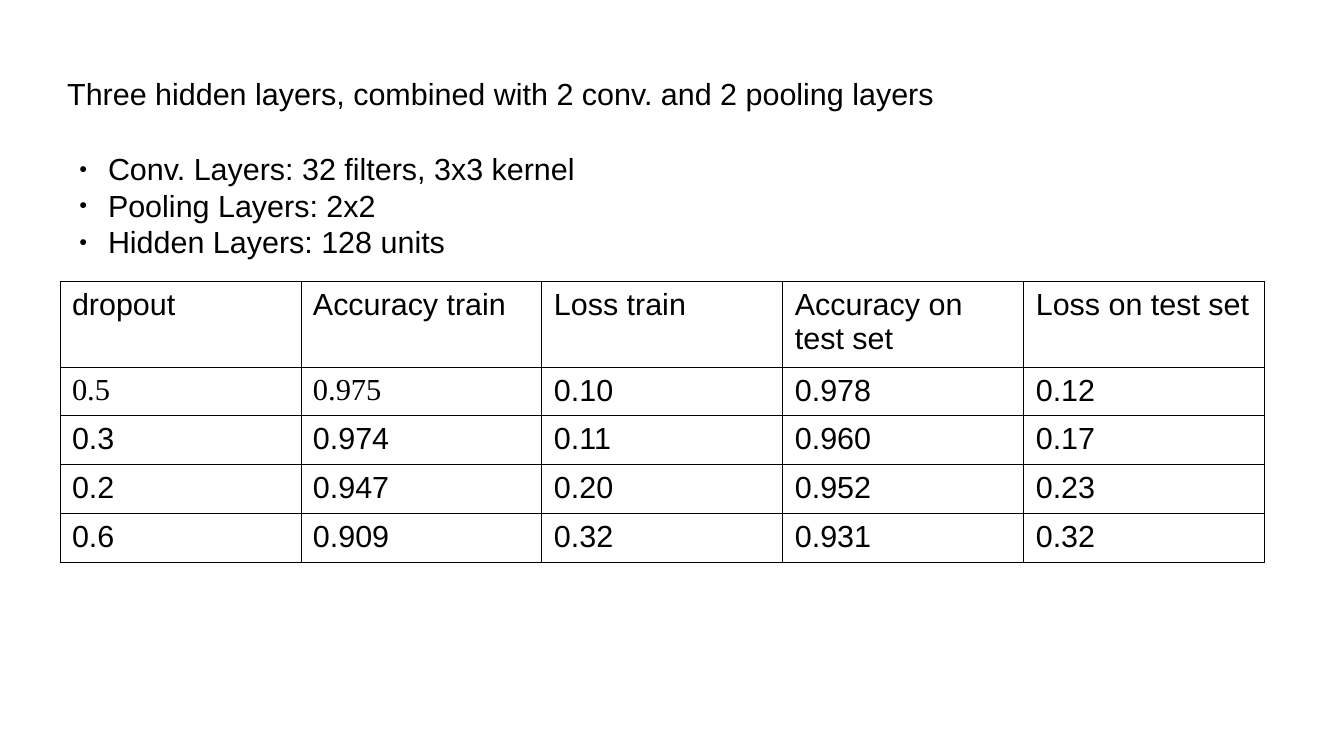
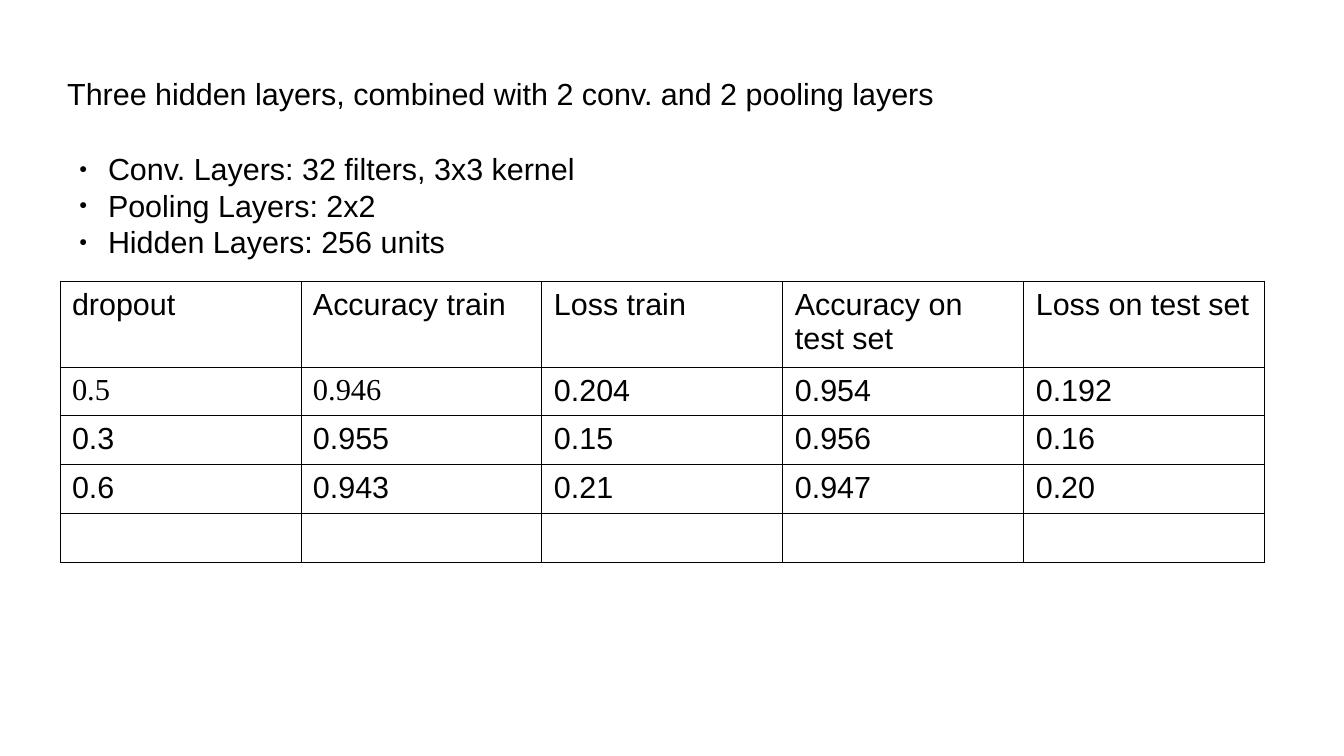
from dataclasses import dataclass

from lxml import etree
from pptx import Presentation
from pptx import util as u
from pptx.dml.color import RGBColor
from pptx.enum import text
from pptx.oxml import ns


@dataclass(frozen=True)
class Theme:
    ink: RGBColor = RGBColor(0x00, 0x00, 0x00)
    paper: RGBColor = RGBColor(0xFF, 0xFF, 0xFF)
    font: str = "Arial"
    serif: str = "Times New Roman"
    size: u.Pt = u.Pt(18)
    border: u.Pt = u.Pt(0.57)
    inset_x: u.Cm = u.Cm(0.25)
    inset_y: u.Cm = u.Cm(0.13)
    bullet: str = "●"
    bullet_percent: int = 45
    indent: u.Cm = u.Cm(0.6)


@dataclass(frozen=True)
class Box:
    left: u.Cm
    top: u.Cm
    width: u.Cm
    height: u.Cm


THEME = Theme()
SLIDE_WIDTH, SLIDE_HEIGHT = u.Cm(28), u.Cm(15.75)
TITLE_BOX = Box(u.Cm(1.4), u.Cm(0.62), u.Cm(25.2), u.Cm(2.64))
LIST_BOX = Box(u.Cm(1.4), u.Cm(3), u.Cm(11.5), u.Cm(2.8))
TABLE_BOX = Box(u.Cm(1.25), u.Cm(5.86), u.Cm(25.1), u.Cm(5.85))
HEADER_HEIGHT = u.Cm(1.79)

TITLE = "Three hidden layers, combined with 2 conv. and 2 pooling layers"
HEADER = ("dropout", "Accuracy train", "Loss train", "Accuracy on test set", "Loss on test set")
SERIF_CELLS = {(1, 0), (1, 1)}
EXPERIMENTS = (
    (128, (
        ("0.5", "0.975", "0.10", "0.978", "0.12"),
        ("0.3", "0.974", "0.11", "0.960", "0.17"),
        ("0.2", "0.947", "0.20", "0.952", "0.23"),
        ("0.6", "0.909", "0.32", "0.931", "0.32"),
    )),
    (256, (
        ("0.5", "0.946", "0.204", "0.954", "0.192"),
        ("0.3", "0.955", "0.15", "0.956", "0.16"),
        ("0.6", "0.943", "0.21", "0.947", "0.20"),
        ("",) * len(HEADER),
    )),
)


def add_element(parent, tag, **attributes):
    return etree.SubElement(parent, ns.qn(tag), attributes)


def add_solid_fill(parent, color):
    add_element(add_element(parent, "a:solidFill"), "a:srgbClr", val=str(color))


def style_paragraph(paragraph, font=THEME.font):
    paragraph.alignment = text.PP_ALIGN.LEFT
    paragraph.space_before = u.Pt(0)
    paragraph.font.name = font
    paragraph.font.size = THEME.size
    paragraph.font.color.rgb = THEME.ink


def add_bullet(paragraph):
    properties = paragraph._p.get_or_add_pPr()
    properties.set("marL", str(THEME.indent))
    properties.set("indent", str(-THEME.indent))
    # Bullet parts stand before the default run properties
    defaults = properties.find(ns.qn("a:defRPr"))
    properties.remove(defaults)
    add_element(add_element(properties, "a:buClr"), "a:srgbClr", val=str(THEME.ink))
    add_element(properties, "a:buSzPct", val=str(THEME.bullet_percent * 1000))
    add_element(properties, "a:buFont", typeface=THEME.font)
    add_element(properties, "a:buChar", char=THEME.bullet)
    properties.append(defaults)


def set_borders(cell):
    properties = cell._tc.get_or_add_tcPr()
    for index, side in enumerate(("a:lnL", "a:lnR", "a:lnT", "a:lnB")):
        line = etree.Element(ns.qn(side), {"w": str(THEME.border)})
        add_solid_fill(line, THEME.ink)
        properties.insert(index, line)


def set_insets(target, inset_x, inset_y):
    target.margin_left = target.margin_right = inset_x
    target.margin_top = target.margin_bottom = inset_y


def fill_placeholder(shape, box, lines, anchor, inset_x=0, inset_y=0):
    shape.left, shape.top, shape.width, shape.height = box.left, box.top, box.width, box.height
    frame = shape.text_frame
    frame.text = "\n".join(lines)
    frame.auto_size = text.MSO_AUTO_SIZE.NONE
    frame.vertical_anchor = anchor
    set_insets(frame, inset_x, inset_y)
    for paragraph in frame.paragraphs:
        style_paragraph(paragraph)
    return frame


def place_title(slide, box):
    fill_placeholder(slide.shapes.title, box, [TITLE], text.MSO_ANCHOR.MIDDLE)


def place_layer_list(slide, box, units):
    lines = ["Conv. Layers: 32 filters, 3x3 kernel", "Pooling Layers: 2x2",
             f"Hidden Layers: {units} units"]
    frame = fill_placeholder(slide.placeholders[1], box, lines, text.MSO_ANCHOR.TOP,
                             THEME.inset_x, THEME.inset_y)
    for paragraph in frame.paragraphs:
        add_bullet(paragraph)


def place_results(slide, box, results):
    rows = (HEADER, *results)
    table = slide.shapes.add_table(len(rows), len(HEADER), box.left, box.top,
                                   box.width, box.height).table
    table.first_row = table.horz_banding = False
    for column in table.columns:
        column.width = box.width // len(HEADER)
    for index, row in enumerate(table.rows):
        row.height = HEADER_HEIGHT if index == 0 else (box.height - HEADER_HEIGHT) // len(results)
    for row_index, values in enumerate(rows):
        for column_index, value in enumerate(values):
            cell = table.cell(row_index, column_index)
            cell.text = value
            set_insets(cell, THEME.inset_x, THEME.inset_y)
            cell.fill.background()
            set_borders(cell)
            is_serif = (row_index, column_index) in SERIF_CELLS
            style_paragraph(cell.text_frame.paragraphs[0], THEME.serif if is_serif else THEME.font)


def add_experiment_slide(presentation, units, results):
    slide = presentation.slides.add_slide(presentation.slide_layouts[1])
    place_title(slide, TITLE_BOX)
    place_layer_list(slide, LIST_BOX, units)
    place_results(slide, TABLE_BOX, results)


def main():
    presentation = Presentation()
    presentation.slide_width, presentation.slide_height = SLIDE_WIDTH, SLIDE_HEIGHT
    # Shared background
    background = presentation.slide_master.background.fill
    background.solid()
    background.fore_color.rgb = THEME.paper
    for units, results in EXPERIMENTS:
        add_experiment_slide(presentation, units, results)
    presentation.save("out.pptx")


if __name__ == "__main__":
    main()
